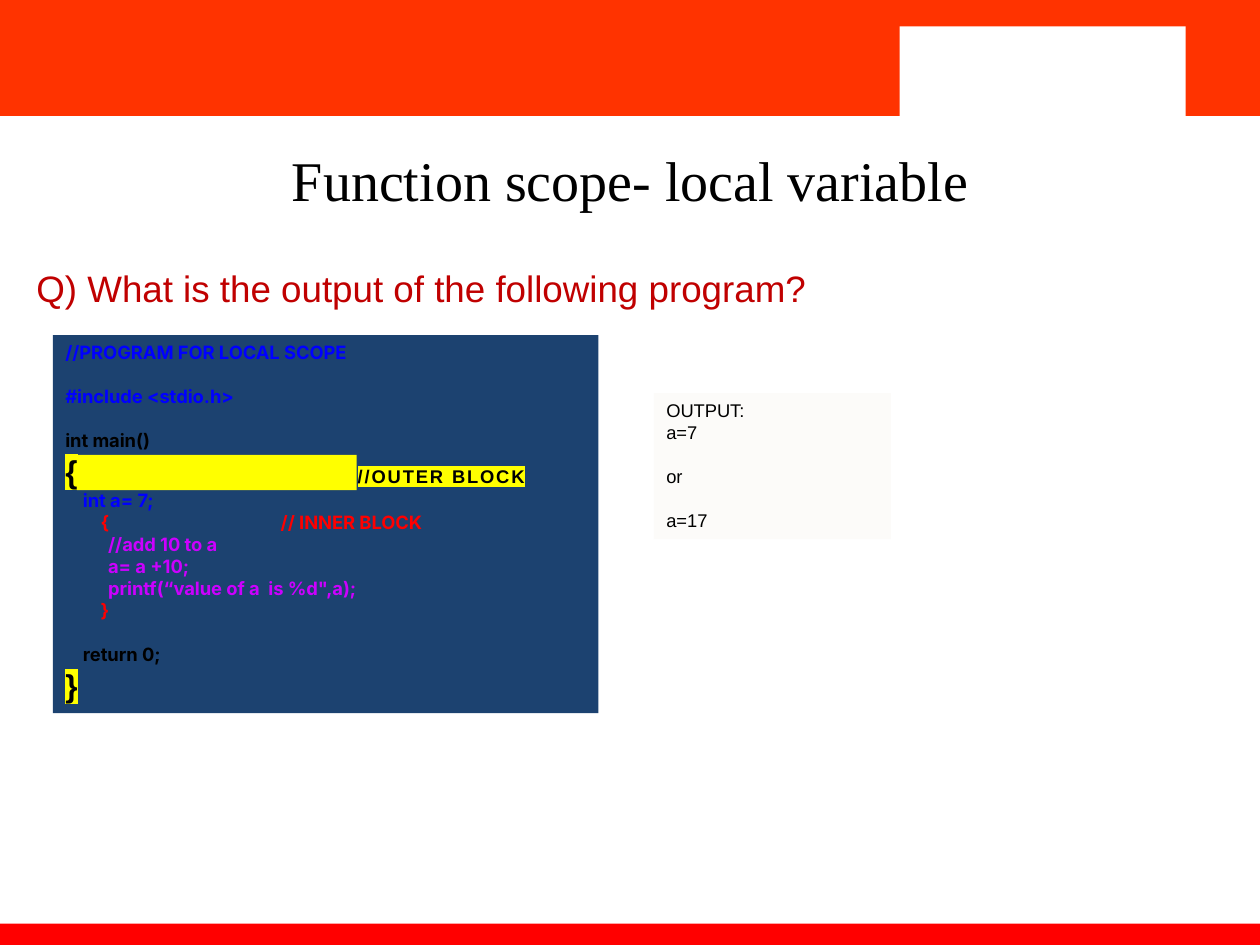
from lxml.etree import SubElement
from pptx import Presentation
from pptx.dml.color import RGBColor
from pptx.enum.shapes import MSO_SHAPE
from pptx.enum.text import MSO_ANCHOR, PP_ALIGN
from pptx.oxml.ns import qn
from pptx.util import Inches, Pt

BLACK, BLUE, RED, PURPLE, YELLOW = "000000", "0000FF", "FF0000", "CC00FF", "FFFF00"
LINE = Pt(12.6)  # height of one line of code, used as a gap


def add_box(x, y, w, h, fill=None):
    sp = s.shapes.add_shape(MSO_SHAPE.RECTANGLE, Inches(x), Inches(y), Inches(w), Inches(h))
    sp.shadow.inherit = False
    sp.line.fill.background()
    if fill:
        sp.fill.solid()
        sp.fill.fore_color.rgb = RGBColor.from_string(fill)
    else:
        sp.fill.background()
    sp.text_frame.word_wrap = True
    sp.text_frame.vertical_anchor = MSO_ANCHOR.TOP
    return sp


def add_run(p, text, size, font, color, bold=False, marked=False):
    """Add a run; a marked one is highlighted in yellow and slightly spaced out."""
    r = p.add_run()
    r.text = text
    r.font.size, r.font.name, r.font.bold = Pt(size), font, bold
    r.font.color.rgb = RGBColor.from_string(color)
    if marked:
        rPr = r.font._element
        rPr.set("spc", "110")
        mark = SubElement(rPr, qn("a:highlight"))
        SubElement(mark, qn("a:srgbClr"), val=YELLOW)
        rPr.find(qn("a:solidFill")).addnext(mark)


prs = Presentation()
prs.slide_width, prs.slide_height = Inches(10), Inches(7.5)
s = prs.slides.add_slide(prs.slide_layouts[6])

# Header with its white panel, and footer
add_box(0, 0, 10, 0.92, "FF3300")
add_box(7.14, 0.21, 2.27, 0.75, "FFFFFF")
add_box(0, 7.33, 10, 0.17, RED)

# Title and question
tf = add_box(0.42, 1.09, 9.17, 0.66).text_frame
tf.vertical_anchor = MSO_ANCHOR.MIDDLE
p = tf.paragraphs[0]
p.alignment = PP_ALIGN.CENTER
add_run(p, "Function scope- local variable", 32, "Times New Roman", BLACK)

p = add_box(0.19, 2.06, 9.62, 0.45).text_frame.paragraphs[0]
p.alignment = PP_ALIGN.LEFT
add_run(p, "Q) What is the output of the following program?", 21, "Arial", "C00000")

# Code: indent, blank lines before, tab stops, runs of (text, size, font, colour, marked)
code = [
    (0, 0, [], [("//PROGRAM FOR LOCAL SCOPE", 10.5, "Inter", BLUE, False)]),
    (0, 1, [], [("#include <stdio.h>", 10.5, "Inter", BLUE, False)]),
    (0, 1, [], [("int main()", 10.5, "Inter", BLACK, False)]),
    (0, 0, [2.32], [("{", 18, "Arial", BLACK, True), ("\t", 10.5, "Arial", BLACK, False),
                    ("//OUTER BLOCK", 10.5, "Arial", BLACK, True)]),
    (0.14, 0, [], [("int a= 7;", 10.5, "Inter", BLUE, False)]),
    (0, 0, [0.28, 1.71], [("\t{\t// INNER BLOCK", 10.5, "Inter", RED, False)]),
    (0.34, 0, [], [("//add 10 to a", 10.5, "Inter", PURPLE, False)]),
    (0.34, 0, [], [("a= a +10;", 10.5, "Inter", PURPLE, False)]),
    (0.34, 0, [], [("printf(“value of a  is %d\",a);", 10.5, "Inter", PURPLE, False)]),
    (0.28, 0, [], [("}", 10.5, "Inter", RED, False)]),
    (0.14, 1, [], [("return 0;", 10.5, "Inter", BLACK, False)]),
    (0, 0, [], [("}", 18, "Arial", BLACK, True)]),
]
tf = add_box(0.42, 2.66, 4.33, 3, "1C4270").text_frame
for i, (indent, blanks, tabs, runs) in enumerate(code):
    p = tf.add_paragraph() if i else tf.paragraphs[0]
    p.alignment = PP_ALIGN.LEFT
    p.space_before = blanks * LINE
    pPr = p._p.get_or_add_pPr()
    pPr.set("marL", str(Inches(indent)))
    if tabs:
        tab_list = SubElement(pPr, qn("a:tabLst"))
        for pos in tabs:
            SubElement(tab_list, qn("a:tab"), pos=str(Inches(pos)), algn="l")
    for text, size, font, color, marked in runs:
        add_run(p, text, size, font, color, bold=True, marked=marked)

# Yellow bar between the outer brace and its comment
add_box(0.61, 3.61, 2.22, 0.28, YELLOW)

# Possible outputs
tf = add_box(5.19, 3.12, 1.88, 1.16, "FCFBF9").text_frame
for i, (text, blanks) in enumerate([("OUTPUT:", 0), ("a=7", 0), ("or", 1), ("a=17", 1)]):
    p = tf.add_paragraph() if i else tf.paragraphs[0]
    p.alignment = PP_ALIGN.LEFT
    p.space_before = blanks * LINE
    add_run(p, text, 10.5, "Arial", BLACK)

prs.save("out.pptx")
